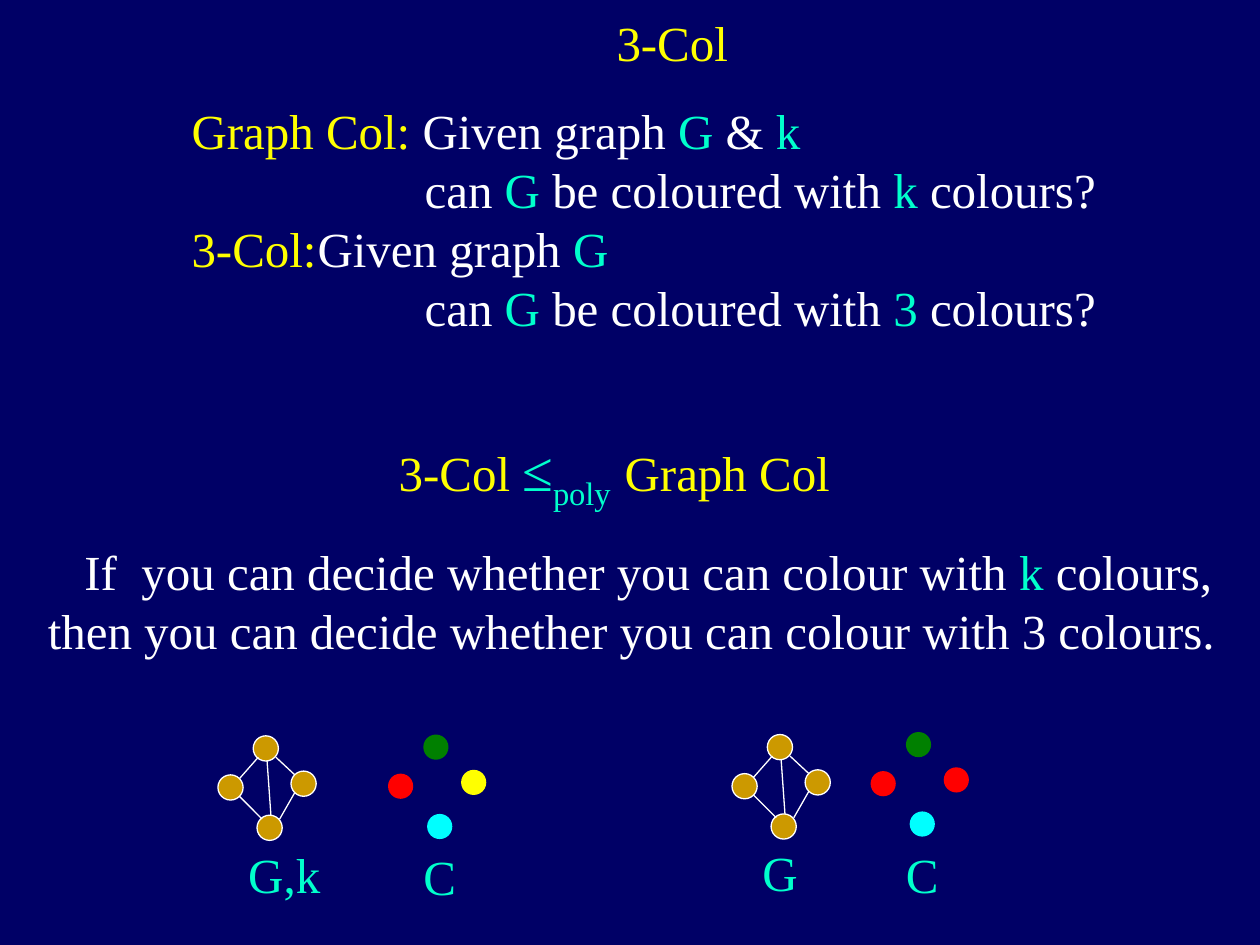
from dataclasses import dataclass

from lxml import etree
from pptx import Presentation
from pptx.dml.color import RGBColor
from pptx.enum.shapes import MSO_CONNECTOR, MSO_SHAPE
from pptx.enum.text import MSO_AUTO_SIZE, PP_ALIGN
from pptx.oxml.ns import qn
from pptx.util import Inches, Pt

OVAL = MSO_SHAPE.OVAL
LINE = MSO_CONNECTOR.STRAIGHT
GROW = MSO_AUTO_SIZE.SHAPE_TO_FIT_TEXT
LEFT, CENTER = PP_ALIGN.LEFT, PP_ALIGN.CENTER

NAVY = RGBColor(0x00, 0x00, 0x66)
YELLOW = RGBColor(0xFF, 0xFF, 0x00)
WHITE = RGBColor(0xFF, 0xFF, 0xFF)
AQUA = RGBColor(0x00, 0xFF, 0xCC)
GOLD = RGBColor(0xCC, 0x99, 0x00)
RED = RGBColor(0xFF, 0x00, 0x00)
CYAN = RGBColor(0x00, 0xFF, 0xFF)
GREEN = RGBColor(0x00, 0x80, 0x00)

FONT = "Times New Roman"
DOT = 0.2
# Left, bottom, right and top node, from the left edge of a graph and its top.
NODES = ((0, 0.31), (0.31, 0.63), (0.58, 0.28), (0.28, 0))
# Ends of the edges, in the same frame.
EDGES = (
    ((0.32, 0.17), (0.17, 0.34)),
    ((0.46, 0.17), (0.61, 0.31)),
    ((0.17, 0.48), (0.35, 0.66)),
    ((0.61, 0.45), (0.49, 0.66)),
    ((0.39, 0.2), (0.42, 0.63)),
)


@dataclass
class Run:
    text: str
    color: RGBColor = WHITE
    size: int = 28
    sub: bool = False


@dataclass
class Para:
    runs: list[Run]
    margin: float = 0
    first: float = 0
    tab: float = 0


@dataclass
class Box:
    left: float
    top: float
    width: float
    height: float
    paras: list[Para]
    align: PP_ALIGN = LEFT
    wrap: bool = False


@dataclass
class Graph:
    left: float
    top: float
    label: Box
    fills: tuple[RGBColor, ...]
    edges: bool


def add_text(slide, box: Box) -> None:
    shape = slide.shapes.add_textbox(
        Inches(box.left), Inches(box.top), Inches(box.width), Inches(box.height))
    frame = shape.text_frame
    frame.word_wrap = box.wrap
    frame.auto_size = GROW
    frame.margin_left = frame.margin_right = Inches(0.3)
    for i, item in enumerate(box.paras):
        para = frame.add_paragraph() if i else frame.paragraphs[0]
        props = para._p.get_or_add_pPr()
        props.set("marL", str(Inches(item.margin)))
        props.set("indent", str(Inches(item.first)))
        if item.tab:
            tabs = etree.SubElement(props, qn("a:tabLst"))
            etree.SubElement(tabs, qn("a:tab"), pos=str(Inches(item.tab)), algn="l")
        para.alignment = box.align
        para.font.name = FONT
        para.font.size = Pt(28)
        for part in item.runs:
            run = para.add_run()
            run.text = part.text
            run.font.name = FONT
            run.font.size = Pt(part.size)
            run.font.color.rgb = part.color
            if part.sub:
                run.font._element.set("baseline", "-25000")


def add_dot(slide, left: float, top: float, fill: RGBColor, ring: bool) -> None:
    dot = slide.shapes.add_shape(
        OVAL, Inches(left), Inches(top), Inches(DOT), Inches(DOT))
    dot.shadow.inherit = False
    dot.fill.solid()
    dot.fill.fore_color.rgb = fill
    if ring:
        dot.line.color.rgb = WHITE
        dot.line.width = Pt(0.75)
    else:
        dot.line.fill.background()


def add_edge(slide, x1: float, y1: float, x2: float, y2: float) -> None:
    edge = slide.shapes.add_connector(
        LINE, Inches(x1), Inches(y1), Inches(x2), Inches(y2))
    edge.line.color.rgb = WHITE
    edge.line.width = Pt(0.75)
    etree.SubElement(edge._element.spPr, qn("a:effectLst"))


def add_graph(slide, graph: Graph) -> None:
    add_text(slide, graph.label)
    for (x, y), fill in zip(NODES, graph.fills):
        add_dot(slide, graph.left + x, graph.top + y, fill, graph.edges)
    if graph.edges:
        for (x1, y1), (x2, y2) in EDGES:
            add_edge(slide, graph.left + x1, graph.top + y1,
                     graph.left + x2, graph.top + y2)


def label(left: float, top: float, width: float, text: str) -> Box:
    return Box(left, top, width, 0.57, [Para([Run(text, AQUA)])])


def ask(count: str) -> Para:
    """The question line of a problem, set under its first line."""
    return Para([Run("can "), Run("G", AQUA), Run(" be coloured with "),
                 Run(count, AQUA), Run(" colours?")], margin=1.85)


TEXTS = (
    Box(4.59, 0.05, 1.49, 0.57, [Para([Run("3-Col", YELLOW)])], CENTER),
    Box(1.22, 0.75, 7.85, 1.97, [
        Para([Run("Graph Col:", YELLOW), Run(" Given graph "), Run("G", AQUA),
              Run(" &"), Run(" k", AQUA)]),
        ask("k"),
        Para([Run("3-Col:", YELLOW), Run("\tGiven graph "), Run("G", AQUA)],
             tab=1.87),
        ask("3"),
    ], wrap=True),
    Box(2.83, 3.41, 4.09, 0.63, [
        Para([Run("3-Col ", YELLOW), Run("≤", AQUA, 32),
              Run("poly", AQUA, 32, True), Run(" ", AQUA, 32),
              Run("Graph Col", YELLOW)]),
    ], CENTER),
    Box(0.08, 4.25, 9.87, 1.5, [
        Para([Run("If  you can decide whether you can colour with "),
              Run("k", AQUA), Run(" colours,")], first=0.29),
        Para([Run("then you can decide whether you can colour with 3 colours.")]),
    ]),
)

GRAPHS = (
    Graph(1.73, 5.84, label(1.67, 6.65, 1.25, "G,k"), (GOLD,) * 4, True),
    Graph(3.08, 5.83, label(3.06, 6.67, 0.86, "C"), (RED, CYAN, YELLOW, GREEN), False),
    Graph(6.91, 5.81, label(6.89, 6.65, 0.86, "C"), (RED, CYAN, RED, GREEN), False),
    Graph(5.81, 5.83, label(5.75, 6.64, 0.88, "G"), (GOLD,) * 4, True),
)


def main() -> None:
    deck = Presentation()
    deck.slide_width, deck.slide_height = Inches(10), Inches(7.5)
    slide = deck.slides.add_slide(deck.slide_layouts[6])
    slide.background.fill.solid()
    slide.background.fill.fore_color.rgb = NAVY
    for box in TEXTS:
        add_text(slide, box)
    for graph in GRAPHS:
        add_graph(slide, graph)
    deck.save("out.pptx")


if __name__ == "__main__":
    main()
